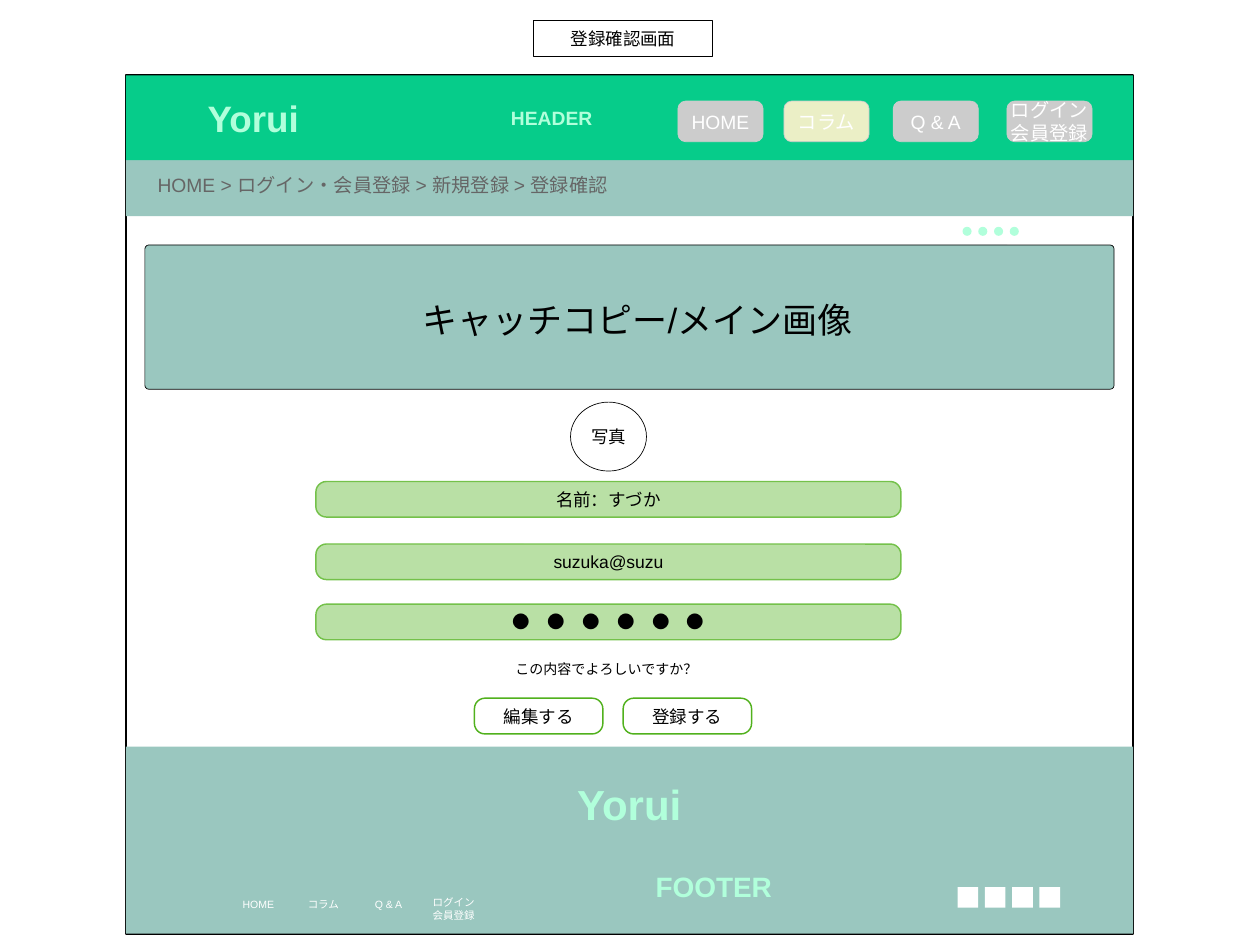
from lxml.etree import SubElement
from pptx import Presentation
from pptx.dml.color import RGBColor
from pptx.enum.shapes import MSO_SHAPE
from pptx.enum.text import MSO_ANCHOR, PP_ALIGN
from pptx.oxml.ns import qn
from pptx.util import Pt

# Content
SCREEN_TITLE = "登録確認画面"
SITE_NAME = "Yorui"
BREADCRUMB = "HOME > ログイン・会員登録 > 新規登録 > 登録確認"
HERO = "キャッチコピー/メイン画像"
MENU = ["HOME", "コラム", "Q & A", "ログイン\n会員登録"]
MENU_LEFTS = [387.4, 448, 510.4, 575.4]
FIELDS = [("名前：すづか", 275.2), ("suzuka@suzu", 310.9),
          ("●　●　●　●　●　●", 345.3)]
QUESTION = "この内容でよろしいですか？"
BUTTONS = ["編集する", "登録する"]

# Colours
BLACK, WHITE, GREY, CRUMB = "000000", "FFFFFF", "CCCCCC", "666666"
TEAL, GREEN, MINT, CREAM = "9AC7BF", "06CC8A", "B1FFDB", "FFF2CC"
FIELD_FILL, FIELD_LINE, BUTTON_LINE = "B9E0A5", "74C14A", "51B11D"
THIN, MEDIUM = 0.4, 0.82

PAGE_LEFT, PAGE_WIDTH = 72, 575.6

prs = Presentation()
prs.slide_width, prs.slide_height = Pt(720), Pt(540)
slide = prs.slides.add_slide(prs.slide_layouts[6])


def rgb(value):
    return RGBColor.from_string(value)


def write(shape, text, size, color, bold=False, align=PP_ALIGN.CENTER):
    frame = shape.text_frame
    frame.margin_left = frame.margin_right = 0
    frame.margin_top = frame.margin_bottom = 0
    frame.word_wrap = True
    frame.vertical_anchor = MSO_ANCHOR.MIDDLE
    frame.text = text
    for paragraph in frame.paragraphs:
        paragraph.alignment = align
        font = paragraph.font
        font.name, font.size, font.bold = "Arial", Pt(size), bold
        font.color.rgb = rgb(color)


def label(text, left, top, width, height, size, color, **style):
    box = slide.shapes.add_textbox(Pt(left), Pt(top), Pt(width), Pt(height))
    write(box, text, size, color, **style)


def block(kind, left, top, width, height, fill, line=None, weight=THIN, radius=0):
    shape = slide.shapes.add_shape(kind, Pt(left), Pt(top), Pt(width), Pt(height))
    shape.shadow.inherit = False
    shape.fill.solid()
    shape.fill.fore_color.rgb = rgb(fill)
    if line:
        shape.line.color.rgb = rgb(line)
        shape.line.width = Pt(weight)
    else:
        shape.line.fill.background()
    if radius:
        shape.adjustments[0] = radius / min(width, height)
    return shape


RECT, ROUND, OVAL = MSO_SHAPE.RECTANGLE, MSO_SHAPE.ROUNDED_RECTANGLE, MSO_SHAPE.OVAL

# Screen title
title = block(RECT, 304.8, 11.6, 102.5, 20.6, WHITE, BLACK)
write(title, SCREEN_TITLE, 10, BLACK)

# Page frame and its bands
block(RECT, PAGE_LEFT, 43, PAGE_WIDTH, 490.8, WHITE, BLACK, MEDIUM)
for top, height, fill in [(91.5, 32, TEAL), (43, 48.5, GREEN), (426.7, 106.8, TEAL)]:
    block(RECT, PAGE_LEFT, top, PAGE_WIDTH, height, fill)

# Header
label(SITE_NAME, 86.4, 55, 116.6, 25, 21, MINT, bold=True)
label("HEADER", 260.6, 61, 109.4, 13, 11, MINT, bold=True)
for text, left in zip(MENU, MENU_LEFTS):
    current = text == "コラム"
    tab = block(ROUND, left, 57.8, 48.6, 23.2, CREAM if current else GREY, GREY, radius=4.3)
    if current:
        color = tab.fill._xPr.find(qn("a:solidFill"))[0]
        SubElement(color, qn("a:alpha"), val="92000")
    write(tab, text, 11, WHITE)
label(BREADCRUMB, 90, 99.2, 284.4, 13, 11, CRUMB, align=PP_ALIGN.LEFT)

# Slide dots and hero
for i in range(4):
    block(OVAL, 550 + 9 * i, 129.6, 5.2, 5.2, MINT)
block(ROUND, 82.8, 140, 553.8, 82.4, TEAL, BLACK, radius=2.2)
label(HERO, 241.2, 170.8, 266.4, 24, 20, BLACK, align=PP_ALIGN.LEFT)

# Entered details
photo = block(OVAL, 326, 229.8, 43.4, 39.4, WHITE, BLACK)
write(photo, "写真", 10, BLACK)
for text, top in FIELDS:
    field = block(ROUND, 180.5, top, 334.3, 20.3, FIELD_FILL, FIELD_LINE, MEDIUM, 6)
    write(field, text, 10, BLACK)

# Confirmation
label(QUESTION, 294.5, 377.3, 129.6, 9.4, 8, BLACK, align=PP_ALIGN.LEFT)
for i, text in enumerate(BUTTONS):
    button = block(ROUND, 271.1 + 85 * i, 399, 73.4, 20.4, WHITE, BUTTON_LINE, MEDIUM, 6)
    write(button, text, 10, BLACK)

# Footer
label(SITE_NAME, 281.5, 445, 156.2, 28.8, 24, MINT, bold=True)
label("FOOTER", 329.8, 497, 156.2, 19.4, 16, MINT, bold=True)
for i, text in enumerate(MENU):
    height = 7.2 * len(text.split("\n"))
    label(text, 129 + 37.2 * i, 512 if height > 8 else 513.4, 37.2, height, 6, WHITE)
for i in range(4):
    block(RECT, 547.2 + 15.6 * i, 506.9, 11.8, 11.8, WHITE)

prs.save("out.pptx")
